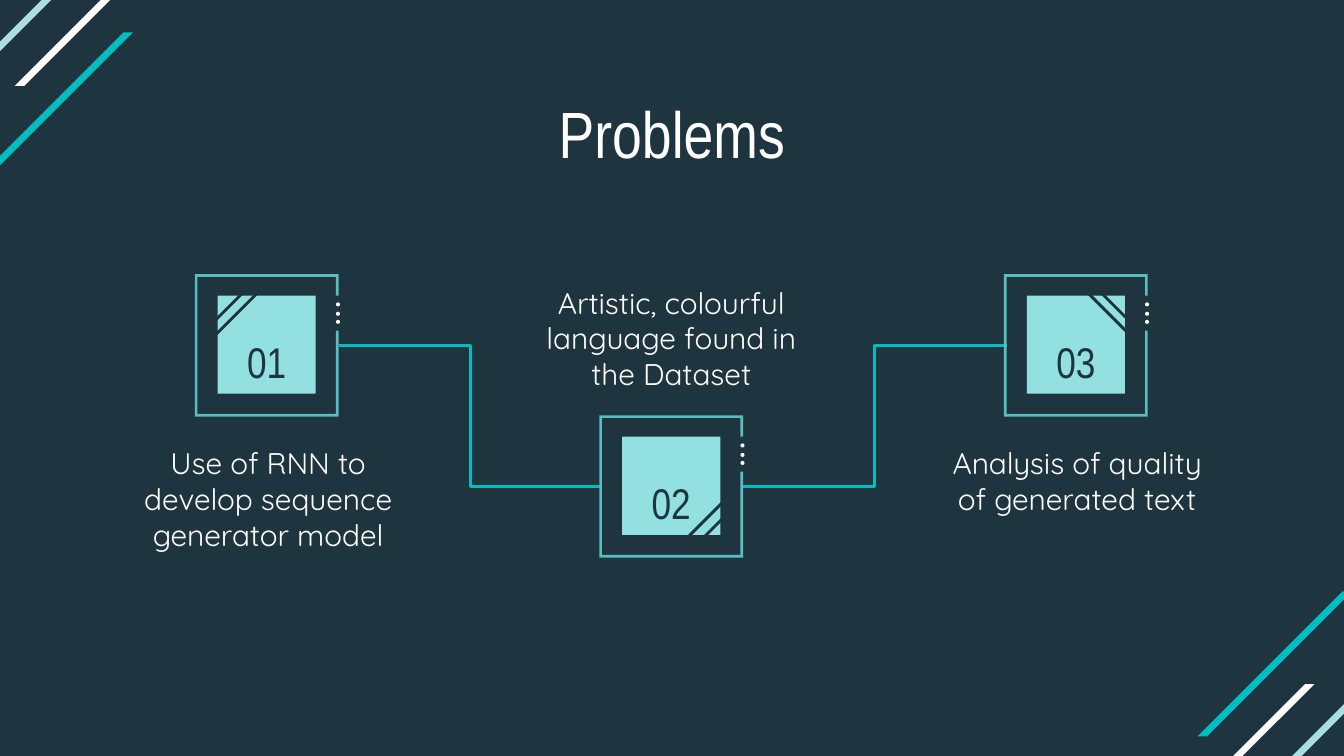
from pptx import Presentation, util as u
from pptx.dml.color import RGBColor
from pptx.enum import shapes as sh, text as tx
from pptx.oxml.ns import qn
from lxml import etree

Inches = u.Inches
NAVY, TEAL, MINT = "1E343F", "01BEC0", "92E0E0"
PALE, EDGE, WHITE = "ABDFDF", "58BEBF", "FFFFFF"


def paint(shape, color):
    shape.fill.solid()
    shape.fill.fore_color.rgb = RGBColor.from_string(color)
    shape.line.fill.background()
    shape.shadow.inherit = False


def write(box, words, size, font, color, anchor="TOP", pad=(0.1, 0.1), after=0):
    """Add a centred text box; pad holds the top and bottom insets."""
    frame = slide.shapes.add_textbox(*map(Inches, box)).text_frame
    frame.word_wrap = True
    frame.vertical_anchor = getattr(tx.MSO_ANCHOR, anchor)
    frame.margin_left = frame.margin_right = Inches(0.1)
    frame.margin_top, frame.margin_bottom = map(Inches, pad)
    para = frame.paragraphs[0]
    para.alignment = tx.PP_ALIGN.CENTER
    para.space_after = u.Pt(after)
    run = para.add_run()
    run.text = words
    run.font.size = u.Pt(size)
    run.font.name = font
    run.font.color.rgb = RGBColor.from_string(color)


deck = Presentation()
deck.slide_width, deck.slide_height = Inches(10), Inches(10 * 9 / 16)
slide = deck.slides.add_slide(deck.slide_layouts[6])
slide.background.fill.solid()
slide.background.fill.fore_color.rgb = RGBColor.from_string(NAVY)

# Number tiles: frame corner, number, caption, caption box, anchor, space after
tiles = [
    (1.45, 2.04, "01", "Use of RNN to develop sequence generator model",
     (0.94, 3.21, 2.11, 1.05), "TOP", 0),
    (4.46, 3.09, "02", "Artistic, colourful language found in the Dataset",
     (3.86, 1.95, 2.27, 1.13), "MIDDLE", 16),
    (7.47, 2.04, "03", "Analysis of quality of generated text",
     (6.96, 3.21, 2.11, 1.05), "TOP", 16),
]
for x, y, number, words, box, anchor, after in tiles:
    tile = slide.shapes.add_shape(
        sh.MSO_SHAPE.RECTANGLE, Inches(x + 0.17), Inches(y + 0.16),
        Inches(0.73), Inches(0.73))
    paint(tile, MINT)
    write((x + 0.17, y + 0.37, 0.73, 0.35), number, 23, "Arial Narrow", NAVY,
          "MIDDLE", (0.2, 0), 16)
    write(box, words, 16, "Quicksand", WHITE, anchor, after=after)
write((0.78, 0.59, 8.44, 0.68), "Problems", 35, "Arial Narrow", WHITE)

# Elbow lines from tile to tile
for x1, y1, x2, y2 in [(2.52, 2.57, 4.48, 3.62), (5.53, 3.62, 7.49, 2.57)]:
    link = slide.shapes.add_connector(
        sh.MSO_CONNECTOR.ELBOW, *map(Inches, (x1, y1, x2, y2)))
    link.line.color.rgb = RGBColor.from_string(TEAL)
    link.line.width = u.Pt(1.5)
    etree.SubElement(link._element.spPr, qn("a:effectLst"))

# Slanted bars: left, top, run and rise, thickness, colour
bars = [
    (-0.16, 0.24, 1.08, 0.07, TEAL),
    (-0.39, -0.21, 0.91, 0.07, PALE),
    (0.11, -0.44, 1.08, 0.07, WHITE),
    (9.31, 5.02, 0.91, 0.07, PALE),
    (8.63, 5.09, 1.08, 0.07, WHITE),
    (8.91, 4.4, 1.08, 0.07, TEAL),
    (1.4, 2.05, 0.52, 0.03, NAVY),
    (1.44, 2.12, 0.52, 0.03, NAVY),
    (4.91, 3.67, 0.52, 0.03, NAVY),
    (4.99, 3.71, 0.52, 0.03, NAVY),
]
forms = [([(x + s, y), (x, y + s), (x + t, y + s), (x + s + t, y)], color)
         for x, y, s, t, color in bars]

# The bars on the last tile fall the other way
for x, y in [(7.98, 2.05), (8.05, 2.02)]:
    forms.append(([(x + 0.52, y + 0.52), (x, y), (x, y + 0.03),
                   (x + 0.52, y + 0.55)], NAVY))

# Frames, open on the right where the dots sit
ring = [(0, 0), (0, 1.06), (1.07, 1.06), (1.07, 0.42), (1.05, 0.42),
        (1.05, 1.04), (0.02, 1.04), (0.02, 0.02), (1.05, 0.02),
        (1.05, 0.16), (1.07, 0.16), (1.07, 0)]
for x, y, *rest in tiles:
    forms.append(([(x + dx, y + dy) for dx, dy in ring], EDGE))

for points, color in forms:
    start, *others = [(Inches(x), Inches(y)) for x, y in points]
    pen = slide.shapes.build_freeform(*start)
    pen.add_line_segments(others, close=True)
    paint(pen.convert_to_shape(), color)

for x, y, *rest in tiles:
    for drop in (0.21, 0.28, 0.34):
        dot = slide.shapes.add_shape(
            sh.MSO_SHAPE.OVAL, Inches(x + 1.05), Inches(y + drop),
            Inches(0.03), Inches(0.03))
        paint(dot, WHITE)

deck.save("out.pptx")
